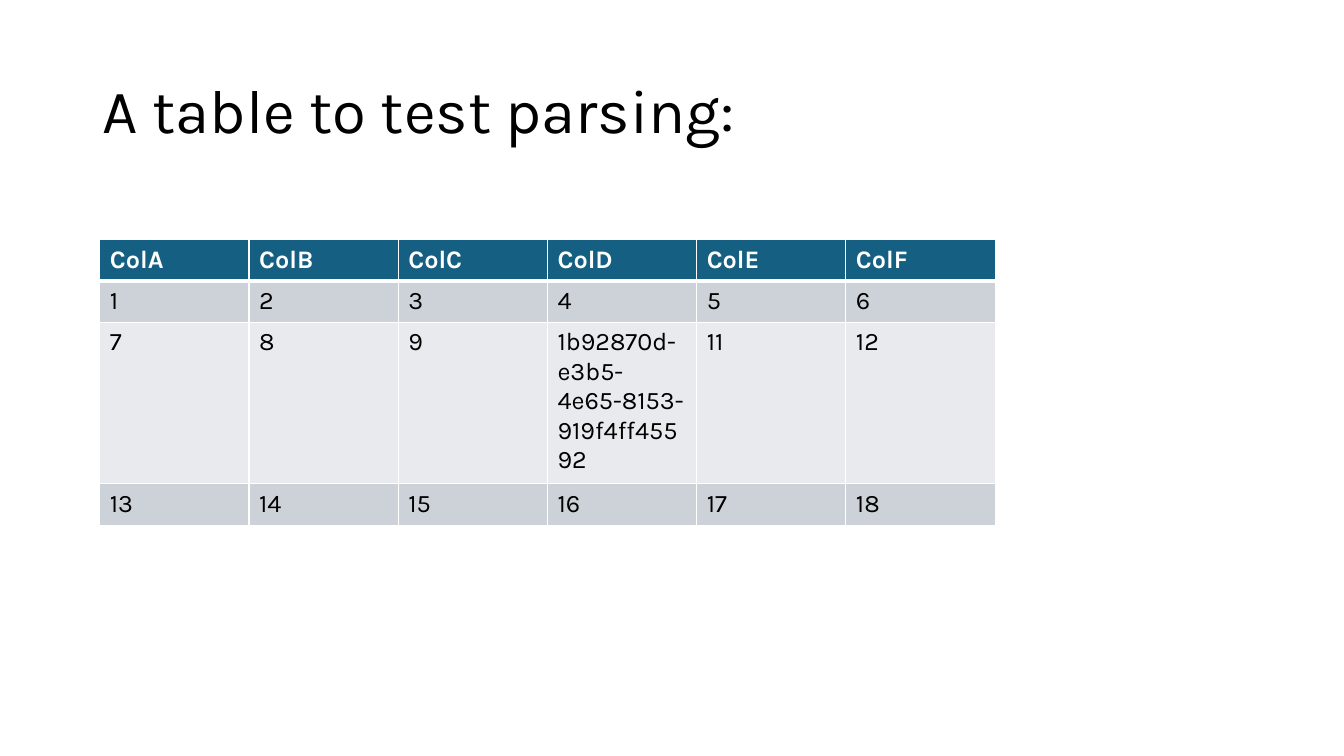
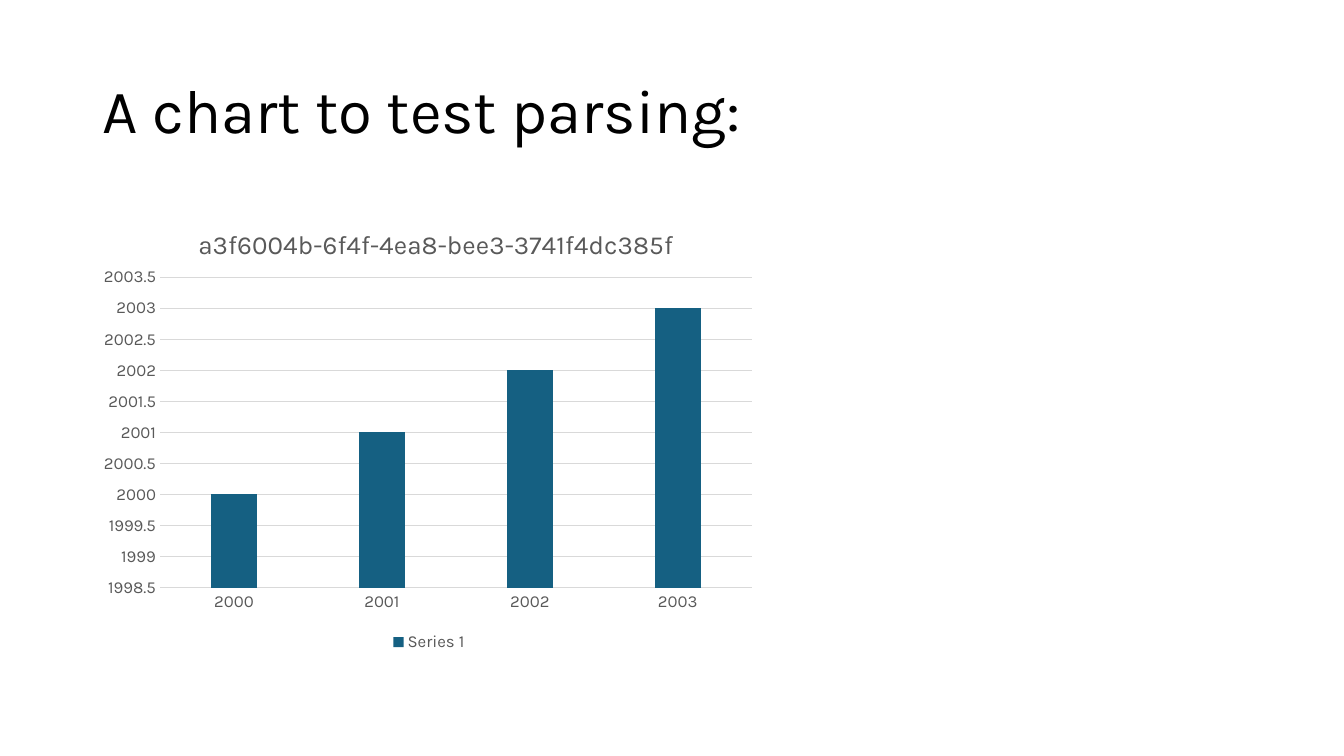
"""Build a two-slide deck with a table and a column chart."""
from lxml import etree
from pptx import Presentation
from pptx import util as u
from pptx.chart.data import CategoryChartData
from pptx.dml.color import RGBColor
from pptx.enum import chart as ch, text
from pptx.oxml import parse_xml
from pptx.oxml.ns import nsdecls, qn

PX = 9144
FONT = "Karla"
BLACK = RGBColor(0, 0, 0)
WHITE = RGBColor(255, 255, 255)
TEAL = RGBColor(0x15, 0x60, 0x82)
BANDS = RGBColor(0xCC, 0xD2, 0xD8), RGBColor(0xE8, 0xEA, 0xED)
GRAY = RGBColor(0x59, 0x59, 0x59)
GRID = RGBColor(0xD9, 0xD9, 0xD9)

TITLE_BOX = 92, 40, 1150, 145
TABLE_BOX = 99, 238, 888, 281
CHART_BOX = 92, 198, 667, 453
ROW_HEIGHTS = 41, 41, 158, 41
ROWS = [
    ["ColA", "ColB", "ColC", "ColD", "ColE", "ColF"],
    ["1", "2", "3", "4", "5", "6"],
    ["7", "8", "9", "1b92870d-e3b5-4e65-8153-919f4ff45592", "11", "12"],
    ["13", "14", "15", "16", "17", "18"],
]
YEARS = 2000, 2001, 2002, 2003


def scaled(box):
    """Turn a box in px into EMU lengths."""
    return [u.Emu(length * PX) for length in box]


def set_font(font, size, color, bold=False):
    """Give a font the deck's typeface with a size, colour and weight."""
    font.name = FONT
    font.size = u.Pt(size)
    font.color.rgb = color
    font.bold = bold


def add_titled_slide(deck, title):
    """Add a blank slide carrying the shared title style."""
    slide = deck.slides.add_slide(deck.slide_layouts[6])
    frame = slide.shapes.add_textbox(*scaled(TITLE_BOX)).text_frame
    frame.word_wrap = True
    frame.vertical_anchor = text.MSO_ANCHOR.MIDDLE
    frame.text = title
    para = frame.paragraphs[0]
    para.line_spacing = 0.9
    set_font(para.runs[0].font, 44, BLACK)
    return slide


def set_borders(cell, bottom):
    """Draw white cell borders, with the bottom one as wide as given."""
    properties = cell._tc.get_or_add_tcPr()
    for side, points in (("L", 1), ("R", 1), ("T", 1), ("B", bottom)):
        properties.append(parse_xml(
            f'<a:ln{side} {nsdecls("a")} w="{u.Pt(points)}"><a:solidFill>'
            f'<a:srgbClr val="{WHITE}"/></a:solidFill></a:ln{side}>'))


def add_banded_table(slide, box, rows):
    """Fill the box with a table that has a header and banded rows."""
    table = slide.shapes.add_table(len(rows), len(rows[0]), *scaled(box)).table
    for row, height in zip(table.rows, ROW_HEIGHTS):
        row.height = u.Emu(height * PX)
    for index, values in enumerate(rows):
        header = index == 0
        for column, value in enumerate(values):
            cell = table.cell(index, column)
            cell.text = value
            set_font(cell.text_frame.paragraphs[0].runs[0].font, 18,
                     WHITE if header else BLACK, header)
            set_borders(cell, 3 if header else 1)
            cell.fill.solid()
            cell.fill.fore_color.rgb = TEAL if header else BANDS[(index - 1) % 2]


def set_layout(part, inner=False, **fractions):
    """Place a chart part at fractions of the chart's size."""
    for old in part.findall(qn("c:layout")):
        part.remove(old)
    layout = etree.Element(qn("c:layout"))
    manual = etree.SubElement(layout, qn("c:manualLayout"))
    settings = {"layoutTarget": "inner"} if inner else {}
    settings.update(xMode="edge", yMode="edge", **fractions)
    for name, value in settings.items():
        etree.SubElement(manual, qn(f"c:{name}")).set("val", str(value))
    text_part = part.find(qn("c:tx"))
    if text_part is None:
        part.insert(0, layout)
    else:
        text_part.addnext(layout)


def style_axes(chart):
    """Style the category axis, the value axis and the gridlines."""
    for axis in (chart.category_axis, chart.value_axis):
        axis.major_tick_mark = ch.XL_TICK_MARK.NONE
        axis.minor_tick_mark = ch.XL_TICK_MARK.NONE
        set_font(axis.tick_labels.font, 12, GRAY)
    values = chart.value_axis
    values.minimum_scale, values.maximum_scale = 1998.5, 2003.5
    values.major_unit = 0.5
    values.format.line.fill.background()
    for line in (chart.category_axis.format.line, values.major_gridlines.format.line):
        line.color.rgb = GRID
        line.width = u.Pt(0.75)


def add_column_chart(slide, box, title):
    """Fill the box with a titled column chart of the years."""
    data = CategoryChartData()
    data.categories = [str(year) for year in YEARS]
    data.add_series("Series 1", YEARS)
    chart = slide.shapes.add_chart(
        ch.XL_CHART_TYPE.COLUMN_CLUSTERED, *scaled(box), data).chart
    set_font(chart.font, 10, BLACK)
    frame = chart.chart_title.text_frame
    frame.text = title
    set_font(frame.paragraphs[0].runs[0].font, 18.6, GRAY)
    chart.chart_title.include_in_layout = False
    chart.has_legend = True
    chart.legend.position = ch.XL_LEGEND_POSITION.BOTTOM
    chart.legend.include_in_layout = False
    set_font(chart.legend.font, 12, GRAY)
    style_axes(chart)
    plot = chart.plots[0]
    plot.gap_width, plot.overlap = 219, -27
    plot.vary_by_categories = False
    fill = plot.series[0].format.fill
    fill.solid()
    fill.fore_color.rgb = TEAL
    set_layout(chart.chart_title._element, x=0.15, y=0.05)
    set_layout(chart._chartSpace.chart.plotArea, inner=True, x=0.1, y=0.17, w=0.88, h=0.68)


def main():
    """Build both slides and save the deck."""
    deck = Presentation()
    deck.slide_width, deck.slide_height = scaled((1333, 750))
    table_slide = add_titled_slide(deck, "A table to test parsing:")
    add_banded_table(table_slide, TABLE_BOX, ROWS)
    chart_slide = add_titled_slide(deck, "A chart to test parsing:")
    add_column_chart(chart_slide, CHART_BOX, "a3f6004b-6f4f-4ea8-bee3-3741f4dc385f")
    deck.save("out.pptx")


if __name__ == "__main__":
    main()
